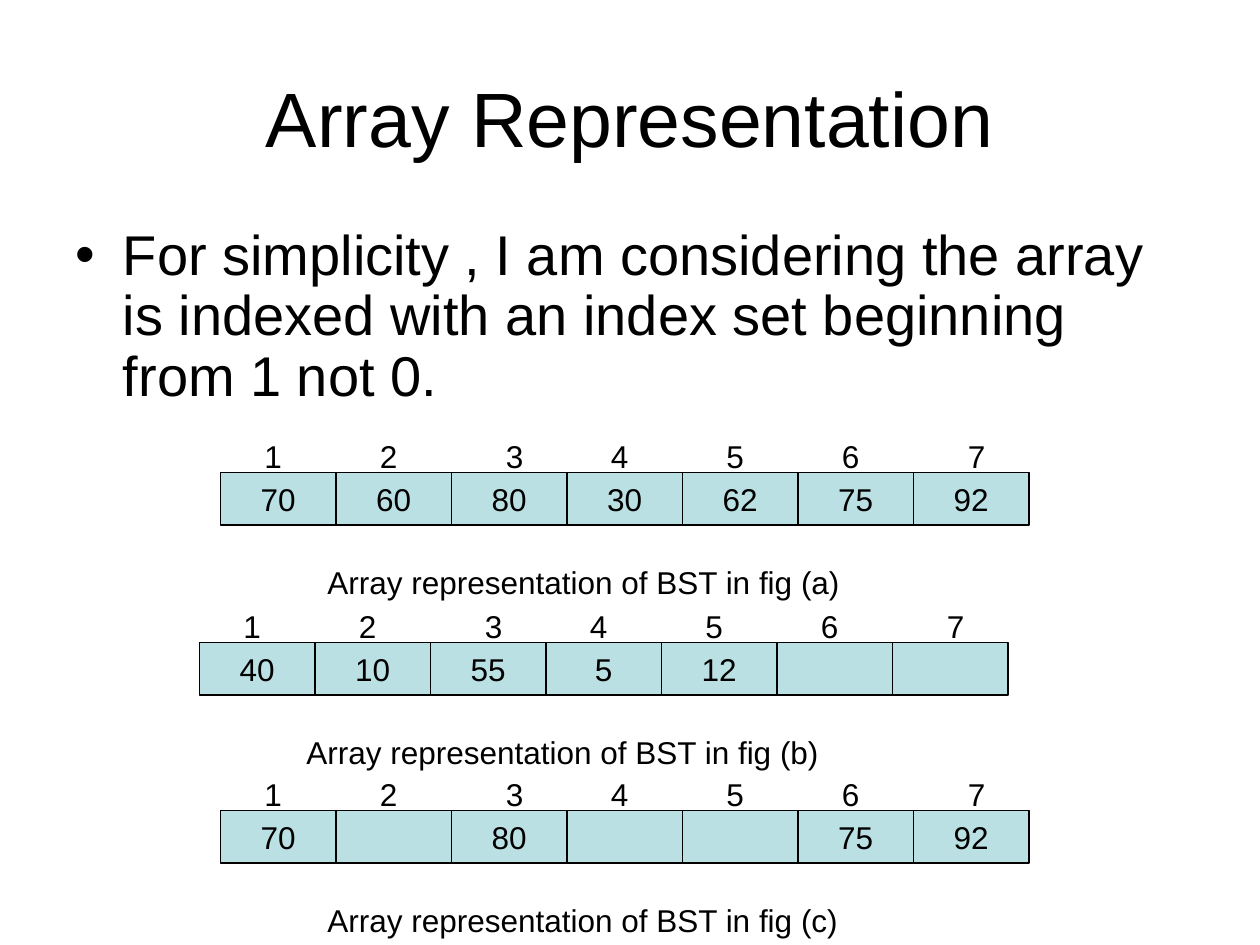
"""Build a slide showing three binary search trees stored as arrays."""
from dataclasses import dataclass

from pptx import Presentation
from pptx.dml.color import RGBColor
from pptx.enum.shapes import MSO_SHAPE as Shape
from pptx.enum.text import MSO_ANCHOR as Anchor, MSO_AUTO_SIZE as AutoSize, PP_ALIGN as Align
from pptx.util import Pt

COLORS = {"text": "000000", "cell": "BBE0E3", "line": "000000"}
FONT = "Arial"
CELL_WIDTH, CELL_HEIGHT = 66, 30
INDEX_SHIFTS = (18, 18, 24, 18, 18, 18, 24)


@dataclass(frozen=True)
class ArrayRow:
    left: float
    top: float
    values: tuple[str, ...]
    caption: str


ROWS = (
    ArrayRow(126, 270, ("70", "60", "80", "30", "62", "75", "92"),
             "Array representation of BST in fig (a)"),
    ArrayRow(114, 367.2, ("40", "10", "55", "5", "12", "", ""),
             "Array representation of BST in fig (b)"),
    ArrayRow(126, 463.2, ("70", "", "80", "", "", "75", "92"),
             "Array representation of BST in fig (c)"),
)


def color(name: str) -> RGBColor:
    return RGBColor.from_string(COLORS[name])


def write(box, text: str, *, size: float = 18, align=Align.LEFT, anchor=Anchor.TOP,
          wrap: bool = True, fit=AutoSize.NONE, line_spacing: float = 1.0) -> None:
    frame = box.text_frame
    frame.word_wrap, frame.auto_size, frame.vertical_anchor = wrap, fit, anchor
    para = frame.paragraphs[0]
    para.alignment, para.line_spacing, para.space_before = align, line_spacing, Pt(0)
    span = para.add_run()
    span.text = text
    span.font.name, span.font.size = FONT, Pt(size)
    span.font.color.rgb = color("text")


def place(box, left: float, top: float, width: float, height: float) -> None:
    box.left, box.top, box.width, box.height = map(Pt, (left, top, width, height))


def draw_cell(page, left: float, top: float, value: str) -> None:
    cell = page.shapes.add_shape(Shape.RECTANGLE, Pt(left), Pt(top),
                                 Pt(CELL_WIDTH), Pt(CELL_HEIGHT))
    cell.shadow.inherit = False
    cell.fill.solid()
    cell.fill.fore_color.rgb = color("cell")
    cell.line.color.rgb = color("line")
    cell.line.width = Pt(0.75)
    if value:
        write(cell, value, align=Align.CENTER, anchor=Anchor.MIDDLE, wrap=False)


def draw_label(page, left: float, top: float, width: float, text: str) -> None:
    box = page.shapes.add_textbox(Pt(left), Pt(top), Pt(width), Pt(29))
    write(box, text, fit=AutoSize.SHAPE_TO_FIT_TEXT)


def draw_row(page, row: ArrayRow) -> None:
    for column, value in enumerate(row.values):
        draw_cell(page, row.left + column * CELL_WIDTH, row.top, value)
    for column, shift in enumerate(INDEX_SHIFTS):
        draw_label(page, row.left + column * CELL_WIDTH + shift, row.top - 24, 42,
                   str(column + 1))
    draw_label(page, row.left + 54, row.top + 48, 348, row.caption)


def main() -> None:
    deck = Presentation()
    deck.slide_width, deck.slide_height = Pt(720), Pt(540)
    page = deck.slides.add_slide(deck.slide_layouts[1])
    title, body = page.placeholders
    place(title, 36, 21.6, 648, 90)
    write(title, "Array Representation", size=44, align=Align.CENTER, anchor=Anchor.MIDDLE)
    place(body, 36, 126, 648, 120)
    write(body, "For simplicity , I am considering the array is indexed with an index set "
                "beginning from 1 not 0.", size=32, line_spacing=0.9)
    for row in ROWS:
        draw_row(page, row)
    deck.save("out.pptx")


if __name__ == "__main__":
    main()
